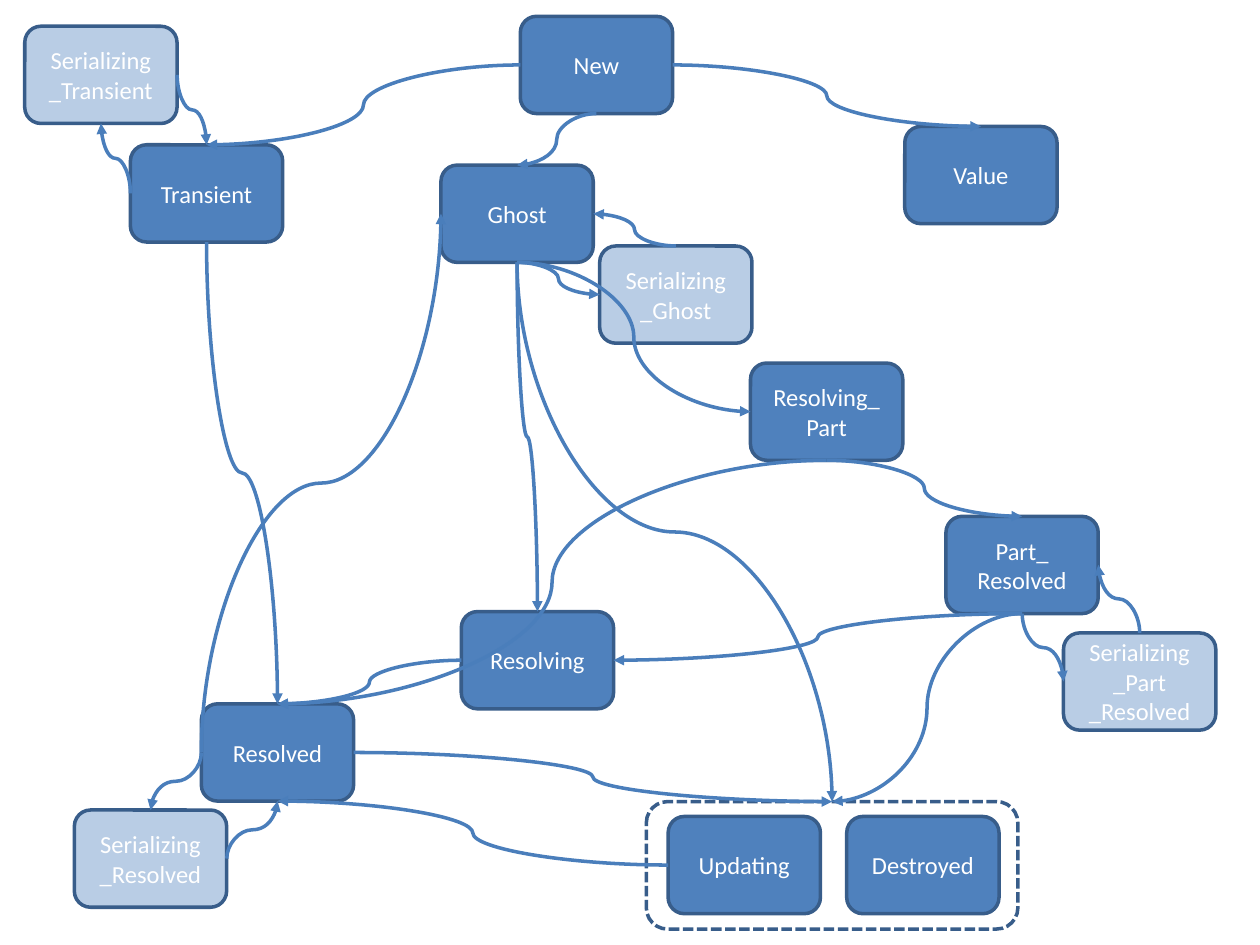
from pptx import Presentation
from pptx import util as u
from pptx.dml.color import RGBColor
from pptx.enum import dml, shapes, text
from pptx.oxml.ns import qn
from lxml import etree

THEME = {
    "state": RGBColor.from_string("4F81BD"),
    "serializing": RGBColor.from_string("B9CDE5"),
    "outline": RGBColor.from_string("385D8A"),
    "arrow": RGBColor.from_string("4A7EBB"),
    "group": RGBColor.from_string("FFFFFF"),
    "label": RGBColor.from_string("FFFFFF"),
    "font": "Calibri",
    "label_size": u.Pt(14),
    "line_width": u.Pt(2),
}

# Sizes and positions in centimetres
STATE_SIZE = (3.07, 1.96)
GROUP_SIZE = (7.49, 2.57)

# name: (label, style, left, top)
STATES = {
    "final": ("", "group", 13.03, 16.16),
    "new": ("New", "state", 10.49, 0.33),
    "ghost": ("Ghost", "state", 8.89, 3.33),
    "part_resolved": ("Part_\nResolved", "state", 19.07, 10.41),
    "resolved": ("Resolved", "state", 4.06, 14.19),
    "resolving": ("Resolving", "state", 9.3, 12.33),
    "resolving_part": ("Resolving_Part", "state", 15.13, 7.32),
    "transient": ("Transient", "state", 2.63, 2.92),
    "destroyed": ("Destroyed", "state", 17.07, 16.46),
    "updating": ("Updating", "state", 13.47, 16.46),
    "ser_transient": ("Serializing\n_Transient", "serializing", 0.5, 0.53),
    "ser_ghost": ("Serializing\n_Ghost", "serializing", 12.09, 4.96),
    "ser_part": ("Serializing\n_Part\n_Resolved", "serializing", 21.44, 12.76),
    "ser_resolved": ("Serializing\n_Resolved", "serializing", 1.5, 16.33),
    "value": ("Value", "state", 18.24, 2.55),
}

# (from, side, to, side, direction in which the curve starts)
TRANSITIONS = [
    ("new", "left", "transient", "top", "across"),
    ("new", "right", "value", "top", "across"),
    ("ghost", "bottom", "resolving", "top", "down"),
    ("ghost", "bottom", "resolving_part", "left", "across"),
    ("ghost", "bottom", "final", "top", "down"),
    ("ghost", "bottom", "ser_ghost", "left", "across"),
    ("transient", "bottom", "resolved", "top", "down"),
    ("transient", "left", "ser_transient", "bottom", "down"),
    ("new", "bottom", "ghost", "top", "across"),
    ("resolving_part", "bottom", "part_resolved", "top", "across"),
    ("resolving_part", "bottom", "resolved", "top", "across"),
    ("part_resolved", "bottom", "resolving", "right", "across"),
    ("part_resolved", "bottom", "final", "top", "across"),
    ("part_resolved", "bottom", "ser_part", "left", "down"),
    ("resolving", "left", "resolved", "top", "across"),
    ("resolved", "left", "ghost", "left", "down"),
    ("resolved", "right", "final", "top", "across"),
    ("resolved", "left", "ser_resolved", "top", "down"),
    ("updating", "left", "resolved", "bottom", "across"),
    ("ser_transient", "right", "transient", "top", "down"),
    ("ser_resolved", "right", "resolved", "bottom", "down"),
    ("ser_part", "top", "part_resolved", "right", "down"),
    ("ser_ghost", "top", "ghost", "right", "across"),
]

# Share of the width and height at which each side has its anchor
ANCHORS = {"left": (0, 0.5), "right": (1, 0.5), "top": (0.5, 0), "bottom": (0.5, 1)}


def add_state(slide, label, style, left, top):
    size = GROUP_SIZE if style == "group" else STATE_SIZE
    shape = slide.shapes.add_shape(
        shapes.MSO_SHAPE.ROUNDED_RECTANGLE, *(u.Cm(value) for value in (left, top, *size)))
    shape.shadow.inherit = False
    shape.fill.solid()
    shape.fill.fore_color.rgb = THEME[style]
    shape.line.color.rgb = THEME["outline"]
    shape.line.width = THEME["line_width"]
    if style == "group":
        shape.line.dash_style = dml.MSO_LINE.SQUARE_DOT
    if label:
        frame = shape.text_frame
        frame.word_wrap = True
        frame.vertical_anchor = text.MSO_ANCHOR.MIDDLE
        paragraph = frame.paragraphs[0]
        paragraph.text = label
        paragraph.alignment = text.PP_ALIGN.CENTER
        paragraph.font.name = THEME["font"]
        paragraph.font.size = THEME["label_size"]
        paragraph.font.color.rgb = THEME["label"]
    return shape


def anchor_point(shape, side):
    across, down = ANCHORS[side]
    return shape.left + shape.width * across, shape.top + shape.height * down


def add_transition(slide, start, end, direction):
    """Draw a curved arrow; one that starts downwards is a quarter-turned curve."""
    (x1, y1), (x2, y2) = start, end
    turn = 0
    if direction == "down":
        dx, dy = x2 - x1, y2 - y1
        middle_x, middle_y = (x1 + x2) / 2, (y1 + y2) / 2
        turn, sign = (270, -1) if dx * dy > 0 else (90, 1)
        x1, x2 = middle_x - sign * dy / 2, middle_x + sign * dy / 2
        y1, y2 = middle_y + sign * dx / 2, middle_y - sign * dx / 2
    connector = slide.shapes.add_connector(
        shapes.MSO_CONNECTOR.CURVE, *(int(value) for value in (x1, y1, x2, y2)))
    connector.line.color.rgb = THEME["arrow"]
    connector.line.width = THEME["line_width"]
    properties = connector._element.spPr
    if turn:
        properties.find(qn("a:xfrm")).set("rot", str(turn * 60000))
    etree.SubElement(properties.find(qn("a:ln")), qn("a:tailEnd"), type="triangle")
    etree.SubElement(properties, qn("a:effectLst"))


def main():
    presentation = Presentation()
    presentation.slide_width, presentation.slide_height = u.Cm(25.4), u.Cm(19.05)
    slide = presentation.slides.add_slide(presentation.slide_layouts[6])
    boxes = {name: add_state(slide, *state) for name, state in STATES.items()}
    for source, source_side, target, target_side, direction in TRANSITIONS:
        add_transition(slide, anchor_point(boxes[source], source_side),
                       anchor_point(boxes[target], target_side), direction)
    presentation.save("out.pptx")


if __name__ == "__main__":
    main()
